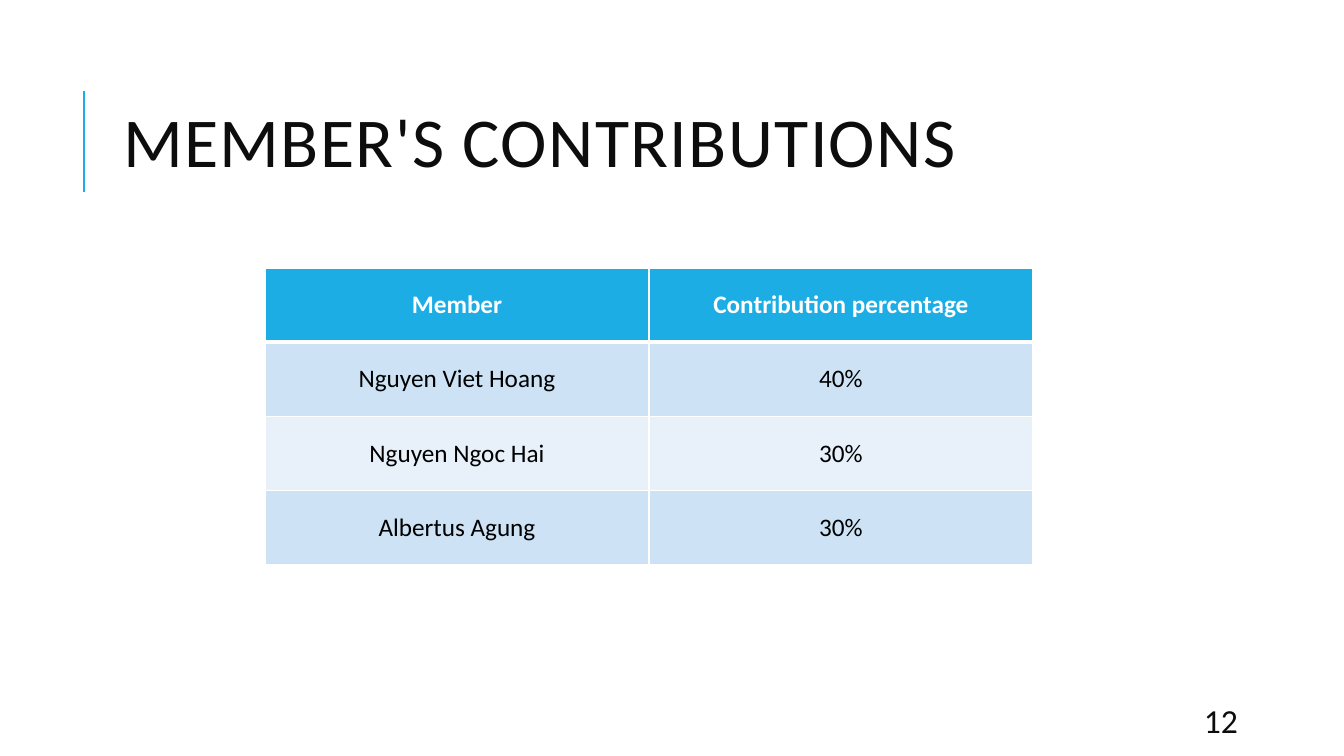
from lxml import etree
from pptx import Presentation
from pptx.dml.color import RGBColor
from pptx.enum.shapes import MSO_CONNECTOR
from pptx.enum.text import MSO_ANCHOR, MSO_AUTO_SIZE, PP_ALIGN
from pptx.oxml.ns import qn
from pptx.util import Emu, Pt

STRAIGHT = MSO_CONNECTOR.STRAIGHT
MIDDLE = MSO_ANCHOR.MIDDLE
NO_AUTOFIT = MSO_AUTO_SIZE.NONE
LEFT, CENTER = PP_ALIGN.LEFT, PP_ALIGN.CENTER

PAGE_WIDTH, PAGE_HEIGHT = 1344, 756
EMU_PER_PX = 12192000 / PAGE_WIDTH
FONT = "Calibri"
COLORS = {
    "accent": "1CADE4",
    "ink": "0D0D0D",
    "black": "000000",
    "white": "FFFFFF",
    "band_dark": "CDE3F5",
    "band_light": "E8F1FA",
}
CONTRIBUTIONS = [
    ("Member", "Contribution percentage"),
    ("Nguyen Viet Hoang", "40%"),
    ("Nguyen Ngoc Hai", "30%"),
    ("Albertus Agung", "30%"),
]


def px(length):
    return Emu(round(length * EMU_PER_PX))


def color(name):
    return RGBColor.from_string(COLORS[name])


def style_para(para, size, ink, align=LEFT, bold=False):
    para.alignment = align
    para.font.name = FONT
    para.font.size = Pt(size)
    para.font.bold = bold
    para.font.color.rgb = color(ink)


def add_title(page, box, text):
    """Fill the title placeholder and draw the accent rule to its left."""
    left, top, width, height = box
    title = page.shapes.title
    title.left, title.top, title.width, title.height = map(px, box)
    frame = title.text_frame
    frame.text = text
    frame.word_wrap = True
    frame.auto_size = NO_AUTOFIT
    frame.vertical_anchor = MIDDLE
    para = frame.paragraphs[0]
    style_para(para, 50, "ink")
    para.line_spacing = 0.8
    para.runs[0].font._element.set("spc", "100")

    rule_x, rule_top = left - 29, top + 26
    rule = page.shapes.add_connector(
        STRAIGHT, px(rule_x), px(rule_top), px(rule_x), px(rule_top + 101))
    rule.line.color.rgb = color("accent")
    rule.line.width = Pt(1.5)
    etree.SubElement(rule._element.spPr, qn("a:effectLst"))


def add_borders(cell, widths):
    """Draw white cell borders; widths maps each side (L, R, T, B) to points."""
    properties = cell._tc.get_or_add_tcPr()
    for side, width in widths.items():
        border = etree.SubElement(properties, qn(f"a:ln{side}"), w=str(Pt(width)))
        fill = etree.SubElement(border, qn("a:solidFill"))
        etree.SubElement(fill, qn("a:srgbClr"), val=COLORS["white"])


def add_contribution_table(page, box, rows):
    height = box[3]
    table = page.shapes.add_table(len(rows), len(rows[0]), *map(px, box)).table
    for row_index, texts in enumerate(rows):
        table.rows[row_index].height = px(height / len(rows))
        header = row_index == 0
        band = "band_dark" if row_index % 2 else "band_light"
        borders = {"L": 1, "R": 1,
                   "T": 3 if row_index == 1 else 1,
                   "B": 3 if header else 1}
        for column_index, text in enumerate(texts):
            cell = table.cell(row_index, column_index)
            cell.text = text
            cell.vertical_anchor = MIDDLE
            add_borders(cell, borders)
            cell.fill.solid()
            cell.fill.fore_color.rgb = color("accent" if header else band)
            style_para(cell.text_frame.paragraphs[0], 18,
                       "white" if header else "black", CENTER, header)


def add_page_number(page, box, number):
    frame = page.shapes.add_textbox(*map(px, box)).text_frame
    frame.text = str(number)
    frame.word_wrap = True
    frame.vertical_anchor = MIDDLE
    style_para(frame.paragraphs[0], 24, "ink")


def main():
    deck = Presentation()
    deck.slide_width, deck.slide_height = px(PAGE_WIDTH), px(PAGE_HEIGHT)
    page = deck.slides.add_slide(deck.slide_layouts.get_by_name("Title Only"))
    add_title(page, (113, 65, 1072, 165), "MEMBER'S CONTRIBUTIONS")
    add_contribution_table(page, (265, 268, 768, 297), CONTRIBUTIONS)
    add_page_number(page, (1194, 696, 107, 48), 12)
    deck.save("out.pptx")


if __name__ == "__main__":
    main()
